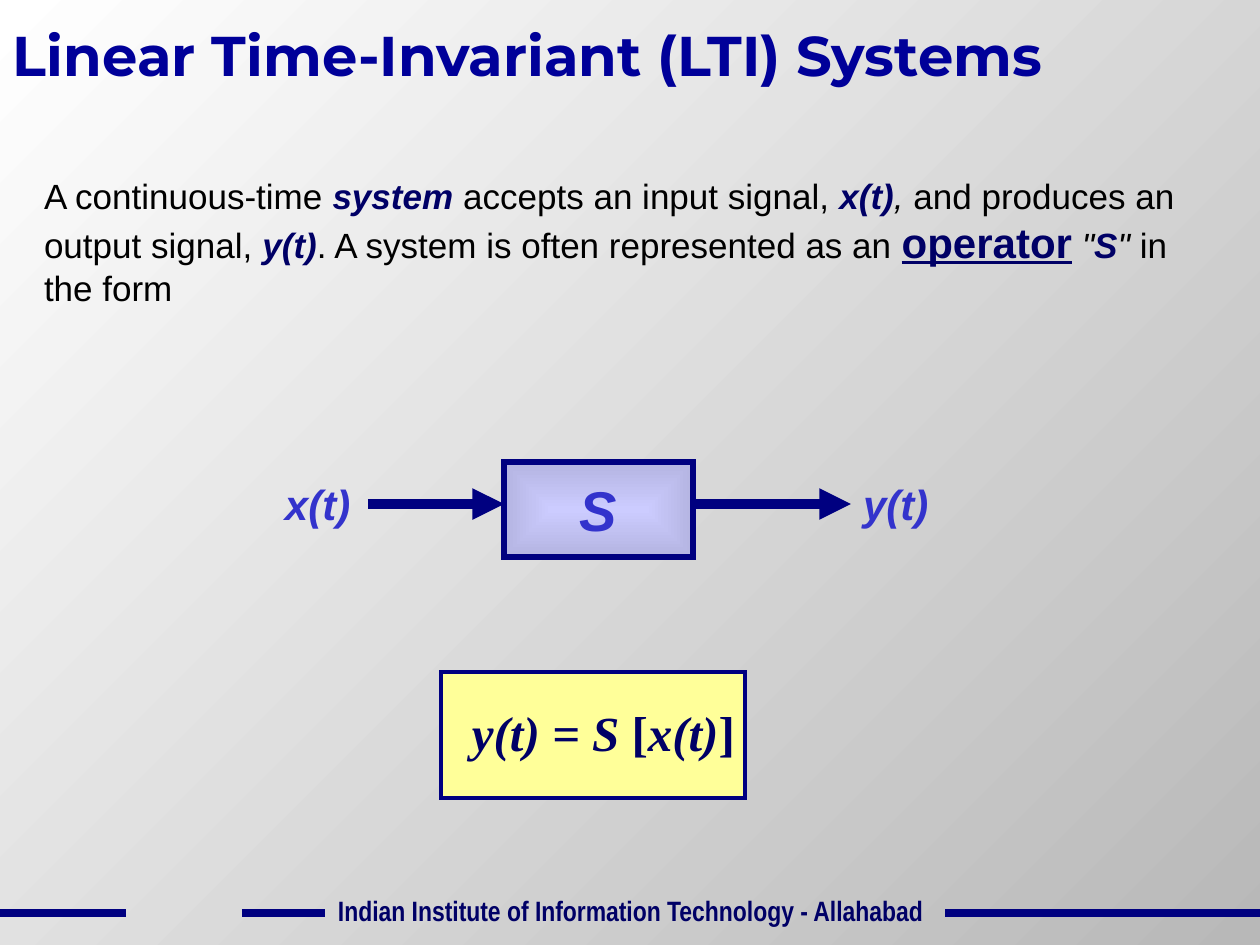
from dataclasses import dataclass
from typing import NamedTuple

import pptx
import pptx.dml.color
import pptx.enum.shapes
import pptx.enum.text
import pptx.oxml
import pptx.oxml.ns
import pptx.util

EMU_PER_PX = 914400 / 126
ANCHOR = pptx.enum.text.MSO_ANCHOR
ALIGN = pptx.enum.text.PP_ALIGN
AUTO = pptx.enum.text.MSO_AUTO_SIZE


@dataclass(frozen=True)
class Theme:
    navy: str = "000080"
    ink: str = "000066"
    title: str = "000099"
    signal: str = "3333CC"
    black: str = "000000"
    yellow: str = "FFFF99"
    page: tuple = ("FFFFFF", "B8B8B8")
    block: tuple = ("CCCCFF", "B4B4E1")
    sans: str = "Arial"
    narrow: str = "Arial Narrow"
    heading: str = "Montserrat"
    serif: str = "Times New Roman"
    footer_pt: int = 16
    body_pt: int = 20
    label_pt: int = 24
    formula_pt: int = 28
    title_pt: int = 32


T = Theme()


class Box(NamedTuple):
    x: int
    y: int
    w: int
    h: int


class Run(NamedTuple):
    text: str
    fmt: dict


class Label(NamedTuple):
    text: str
    box: Box
    fmt: dict


class Line(NamedTuple):
    x1: int
    x2: int
    y: int
    width: float
    arrow: bool = False


def px(n: int) -> int:
    return round(n * EMU_PER_PX)


def rgb(code: str):
    return pptx.dml.color.RGBColor.from_string(code)


def style(name: str, size: int, color: str, **extra) -> dict:
    return {"name": name, "size": pptx.util.Pt(size), "color": color, **extra}


def add_xml(parent, tag: str, **attrs) -> None:
    parent.append(parent.makeelement(pptx.oxml.ns.qn(tag), attrs))


def set_gradient(fill, colors: tuple, angle: int) -> None:
    fill.gradient()
    fill.gradient_angle = angle
    for stop, color in zip(fill.gradient_stops, colors):
        stop.color.rgb = rgb(color)


def write(sp, runs: list[Run], wrap: bool = True, inset: tuple = (13, 6),
          anchor=ANCHOR.TOP, align=ALIGN.LEFT, auto=AUTO.NONE) -> None:
    tf = sp.text_frame
    dx, dy = map(px, inset)
    frame = {"word_wrap": wrap, "auto_size": auto, "vertical_anchor": anchor,
             "margin_left": dx, "margin_right": dx, "margin_top": dy, "margin_bottom": dy}
    for key, value in frame.items():
        setattr(tf, key, value)
    p = tf.paragraphs[0]
    p.alignment = align
    p.space_before = pptx.util.Pt(0)
    for text, fmt in runs:
        r = p.add_run()
        r.text = text
        for key, value in fmt.items():
            if key == "color":
                r.font.color.rgb = rgb(value)
            else:
                setattr(r.font, key, value)


def place(sp, box: Box) -> None:
    for key, value in zip(("left", "top", "width", "height"), box):
        setattr(sp, key, px(value))


def add_label(s, label: Label) -> None:
    sp = s.shapes.add_textbox(*map(px, label.box))
    write(sp, [Run(label.text, label.fmt)], wrap=False)


def add_rect(s, box: Box, width: float):
    sp = s.shapes.add_shape(pptx.enum.shapes.MSO_SHAPE.RECTANGLE, *map(px, box))
    sp.shadow.inherit = False
    sp.line.color.rgb = rgb(T.navy)
    sp.line.width = pptx.util.Pt(width)
    add_xml(sp._element.spPr.get_or_add_ln(), "a:miter", lim="800000")
    return sp


def add_line(s, line: Line) -> None:
    c = s.shapes.add_connector(pptx.enum.shapes.MSO_CONNECTOR.STRAIGHT,
                               px(line.x1), px(line.y), px(line.x2), px(line.y))
    c.line.color.rgb = rgb(T.navy)
    c.line.width = pptx.util.Pt(line.width)
    sp_pr = c._element.spPr
    if line.arrow:
        add_xml(sp_pr.get_or_add_ln(), "a:tailEnd", type="triangle")
    add_xml(sp_pr, "a:effectLst")


def centre_gradient(sp) -> None:
    """Turn the linear gradient of a shape into one that spreads from its centre."""
    ns = pptx.oxml.ns
    lin = sp._element.spPr.find(".//" + ns.qn("a:lin"))
    lin.getparent().replace(lin, pptx.oxml.parse_xml(
        f'<a:path {ns.nsdecls("a")} path="shape">'
        '<a:fillToRect l="50000" t="50000" r="50000" b="50000"/></a:path>'))


def main() -> None:
    prs = pptx.Presentation()
    prs.slide_width, prs.slide_height = px(1260), px(945)
    s = prs.slides.add_slide(prs.slide_layouts[1])
    set_gradient(s.background.fill, T.page, 315)

    # Title
    title, body = s.placeholders
    place(title, Box(0, 15, 1229, 80))
    write(title, [Run("Linear Time-Invariant (LTI) Systems",
                      style(T.heading, T.title_pt, T.title, bold=True))])

    # Definition
    plain = style(T.sans, T.body_pt, T.black)
    slanted = {**plain, "italic": True}
    term = {**slanted, "color": T.ink, "bold": True}
    operator = style(T.sans, T.label_pt, T.ink, bold=True, underline=True)
    place(body, Box(31, 168, 1176, 147))
    p_pr = body.text_frame.paragraphs[0]._p.get_or_add_pPr()
    p_pr.set("marL", "0")
    p_pr.set("indent", "0")
    add_xml(p_pr, "a:buNone")
    write(body, [
        Run("A continuous-time ", plain), Run("system", term),
        Run(" accepts an input signal, ", plain), Run("x(t)", term), Run(", ", slanted),
        Run("and produces an output signal, ", plain), Run("y(t)", term),
        Run(". A system is often represented as an ", plain), Run("operator", operator),
        Run(" ", plain), Run('"', slanted), Run("S", term), Run('"', slanted),
        Run(" in the form", plain)])

    # Formula
    upright = style(T.serif, T.formula_pt, T.ink, bold=True)
    italic = {**upright, "italic": True}
    formula = add_rect(s, Box(441, 672, 304, 126), 2.25)
    formula.fill.solid()
    formula.fill.fore_color.rgb = rgb(T.yellow)
    write(formula, [Run("y(t) = S ", italic), Run("[", upright),
                    Run("x(t)", italic), Run("]", upright)], wrap=False, inset=(31, 31))

    # System block
    block = add_rect(s, Box(504, 462, 189, 95), 3)
    set_gradient(block.fill, T.block, 0)
    centre_gradient(block)
    signal = style(T.sans, T.label_pt, T.signal, bold=True, italic=True)
    write(block, [Run("S", {**signal, "size": pptx.util.Pt(T.title_pt)})], wrap=False,
          anchor=ANCHOR.MIDDLE, align=ALIGN.CENTER)

    # Signal names and footer
    footer = style(T.narrow, T.footer_pt, T.ink, bold=True)
    for label in (Label("x(t)", Box(272, 473, 96, 63), signal),
                  Label("y(t)", Box(850, 473, 96, 63), signal),
                  Label("Indian Institute of Information Technology - Allahabad",
                        Box(325, 888, 616, 47), footer)):
        add_label(s, label)

    # Signal arrows and footer rules
    for line in (Line(368, 504, 504, 6, True), Line(693, 851, 504, 6, True),
                 Line(0, 126, 913, 4.5), Line(242, 325, 913, 4.5), Line(945, 1260, 913, 4.5)):
        add_line(s, line)

    prs.save("out.pptx")


if __name__ == "__main__":
    main()
